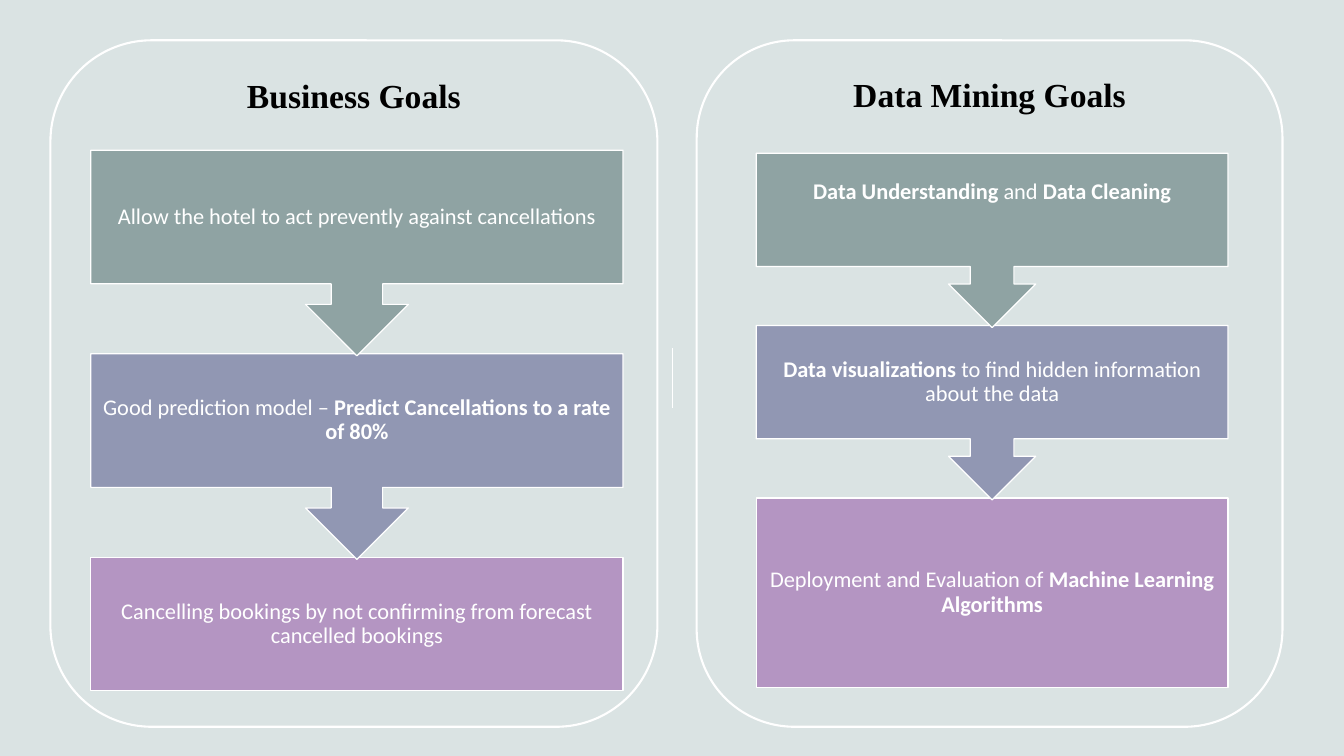
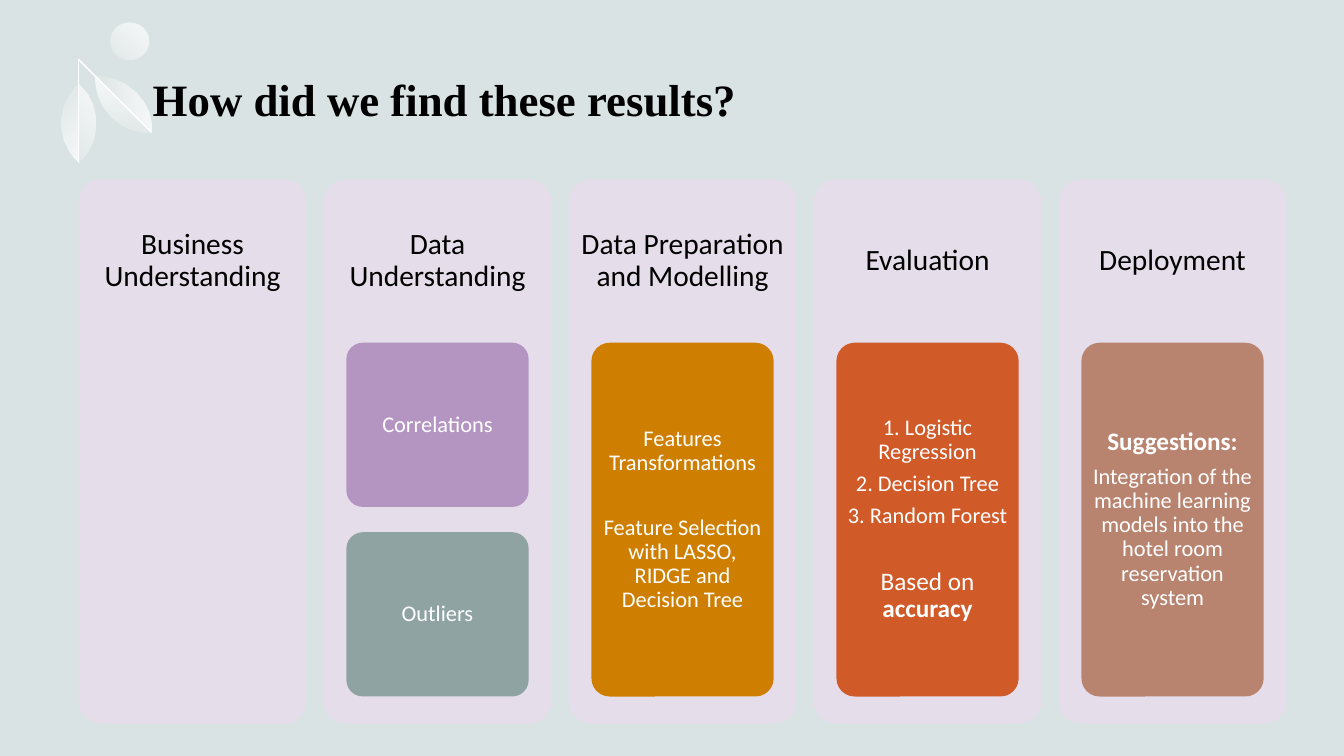
from math import cos, radians, sin, sqrt

from lxml.etree import SubElement
from pptx import Presentation
from pptx.dml.color import RGBColor
from pptx.enum.shapes import MSO_CONNECTOR, MSO_SHAPE
from pptx.enum.text import MSO_ANCHOR, PP_ALIGN
from pptx.oxml.ns import qn
from pptx.util import Inches, Pt

COLORS = {
    "back": "DAE3E3",
    "white": "FFFFFF",
    "black": "000000",
    "sage": "8FA3A3",
    "slate": "9197B3",
    "mauve": "B495C2",
    "lilac": "E5DDE9",
    "amber": "CE7F01",
    "rust": "D15A29",
    "clay": "B88470",
}
HEAD = {"font": "Times New Roman", "color": "black", "bold": True, "space": 1, "after": 0}


def tint(name):
    return RGBColor.from_string(COLORS[name])


def write(shape, items, size=16, font="Calibri", color="white", bold=False,
          space=0.9, after=0.35, anchor=MSO_ANCHOR.MIDDLE, inset=(0.1, 0.05, 0.1, 0.05)):
    frame = shape.text_frame
    frame.word_wrap = True
    frame.vertical_anchor = anchor
    frame.margin_left, frame.margin_top, frame.margin_right, frame.margin_bottom = map(Inches, inset)
    for index, item in enumerate(items):
        text, points, gap = item if isinstance(item, tuple) else (item, size, size * after)
        para = frame.paragraphs[0] if index == 0 else frame.add_paragraph()
        para.alignment = PP_ALIGN.CENTER
        para.line_spacing = space
        para.space_after = Pt(gap)
        for turn, part in enumerate(text.split("*")):
            if part:
                run = para.add_run()
                run.text = part
                run.font.size = Pt(points)
                run.font.name = font
                run.font.bold = bold or turn % 2 == 1
                run.font.color.rgb = tint(color)


def block(slide, kind, box, fill=None, line=None, width=0.85):
    shape = slide.shapes.add_shape(kind, *map(Inches, box))
    shape.shadow.inherit = False
    if fill:
        shape.fill.solid()
        shape.fill.fore_color.rgb = tint(fill)
    else:
        shape.fill.background()
    if line:
        shape.line.color.rgb = tint(line)
        shape.line.width = Pt(width)
    else:
        shape.line.fill.background()
    return shape


def label(slide, box, items, **style):
    write(slide.shapes.add_textbox(*map(Inches, box)), items, **style)


def rule(slide, *ends):
    line = slide.shapes.add_connector(MSO_CONNECTOR.STRAIGHT, *map(Inches, ends))
    line.line.color.rgb = tint("white")
    line.line.width = Pt(1)
    SubElement(line._element.spPr, qn("a:effectLst"))


def fade(shape, angle, last):
    shape.shadow.inherit = False
    shape.line.fill.background()
    shape.fill.gradient()
    shape.fill.gradient_angle = 360 - angle
    for stop, place in zip(shape.fill.gradient_stops, (0, 1)):
        stop.color.rgb = tint("white")
        stop.position = place
    for node, alpha in zip(shape._element.spPr.iter(qn("a:srgbClr")), (80, last)):
        SubElement(node, qn("a:alpha")).set("val", str(alpha * 1000))


def leaf(slide, left, top, turn, side, angle, last):
    length, bulge, steps = 0.78, 0.17, 24
    half = length / 2
    radius = (half ** 2 + bulge ** 2) / (2 * bulge)
    spots = []
    for step in range(steps + 1):
        along = length * step / steps
        out = side * (sqrt(radius ** 2 - (along - half) ** 2) - radius + bulge)
        spots.append((Inches(left + along * sin(turn) + out * cos(turn)),
                      Inches(top + along * cos(turn) - out * sin(turn))))
    form = slide.shapes.build_freeform(*spots[0])
    form.add_line_segments(spots[1:], close=True)
    fade(form.convert_to_shape(), angle, last)


def sprig(slide, left, top):
    fade(block(slide, MSO_SHAPE.OVAL, (left + 0.49, top, 0.37, 0.37)), 135, 20)
    leaf(slide, left + 0.34, top + 0.54, radians(45), -1, 90, 20)
    leaf(slide, left + 0.34, top + 0.54, radians(45), 1, 180, 10)
    leaf(slide, left + 0.17, top + 0.61, 0, 1, 135, 20)
    leaf(slide, left + 0.17, top + 0.61, 0, -1, 225, 10)
    for reach, drop in ((0.72, 0.72), (0, 1.02)):
        rule(slide, left + 0.17, top + 0.37, left + 0.17 + reach, top + 0.37 + drop)


def panel(slide, box, title):
    shape = block(slide, MSO_SHAPE.ROUNDED_RECTANGLE, box, line="white", width=1.5)
    write(shape, [title], size=24, anchor=MSO_ANCHOR.TOP, **HEAD)


def flow(slide, box, step, last, texts, lifts=(0, 0, 0)):
    left, top, width = box
    fills = ("sage", "slate", "mauve")
    for index in reversed(range(3)):
        final = index == 2
        kind = MSO_SHAPE.RECTANGLE if final else MSO_SHAPE.DOWN_ARROW_CALLOUT
        height = last if final else step + 0.02
        shape = block(slide, kind, (left, top + index * step, width, height), fills[index], "white")
        write(shape, [texts[index]], inset=(0.12, 0.12, 0.12, 0.12 + lifts[index]))


def column(slide, box, title, cards):
    left, top, width, height = box
    shape = block(slide, MSO_SHAPE.ROUNDED_RECTANGLE, box, "lilac")
    shape.adjustments[0] = 0.1
    label(slide, (left, top, width, height * 0.3), [title], size=21, color="black", inset=(0.09,) * 4)
    gap = 0.25
    tall = (height * 0.65 + gap) / max(len(cards), 1) - gap
    for index, (fill, items) in enumerate(cards):
        place = (left + width * 0.1, top + height * 0.3 + index * (tall + gap), width * 0.8, tall)
        card = block(slide, MSO_SHAPE.ROUNDED_RECTANGLE, place, fill)
        card.adjustments[0] = 0.1
        write(card, items, inset=(0.04, 0.03, 0.04, 0.03))


def start(deck):
    slide = deck.slides.add_slide(deck.slide_layouts[6])
    slide.background.fill.solid()
    slide.background.fill.fore_color.rgb = tint("back")
    return slide


def goals(deck):
    slide = start(deck)
    rule(slide, 6.67, 3.45, 6.67, 4.05)
    panel(slide, (6.91, 0.4, 5.81, 6.81), "Data Mining Goals")
    panel(slide, (0.5, 0.4, 6.02, 6.81), "Business Goals")
    flow(slide, (0.9, 1.49, 5.28), 2.02, 1.32, [
        "Allow the hotel to act prevently against cancellations",
        "Good prediction model – *Predict Cancellations to a rate of 80%*",
        "Cancelling bookings by not confirming from forecast cancelled bookings",
    ])
    flow(slide, (7.5, 1.52, 4.68), 1.71, 1.88, [
        "*Data Understanding* and *Data Cleaning*",
        "*Data visualizations* to find hidden information about the data",
        "Deployment and Evaluation of *Machine Learning Algorithms*",
    ], lifts=(0.34, 0, 0))


def results(deck):
    slide = start(deck)
    sprig(slide, 0.61, 0.22)
    label(slide, (1.28, 0.62, 6.26, 0.72), ["How did we find these results?"], size=32, **HEAD)
    stages = [
        ("Business Understanding", []),
        ("Data Understanding", [("mauve", ["Correlations"]), ("sage", ["Outliers"])]),
        ("Data Preparation and Modelling", [("amber", [
            ("Features Transformations", 16, 29),
            "Feature Selection with LASSO, RIDGE and Decision Tree",
        ])]),
        ("Evaluation", [("rust", [
            "1. Logistic Regression",
            "2. Decision Tree",
            ("3. Random Forest", 16, 29),
            ("Based on *accuracy*", 18, 0),
        ])]),
        ("Deployment", [("clay", [
            ("*Suggestions:*", 18, 6.3),
            "Integration of the machine learning models into the hotel room reservation system",
        ])]),
    ]
    for index, (title, cards) in enumerate(stages):
        column(slide, (0.78 + 2.43 * index, 1.78, 2.26, 5.4), title, cards)


def main():
    deck = Presentation()
    deck.slide_width, deck.slide_height = Inches(13.33), Inches(7.5)
    goals(deck)
    results(deck)
    deck.save("out.pptx")


if __name__ == "__main__":
    main()
